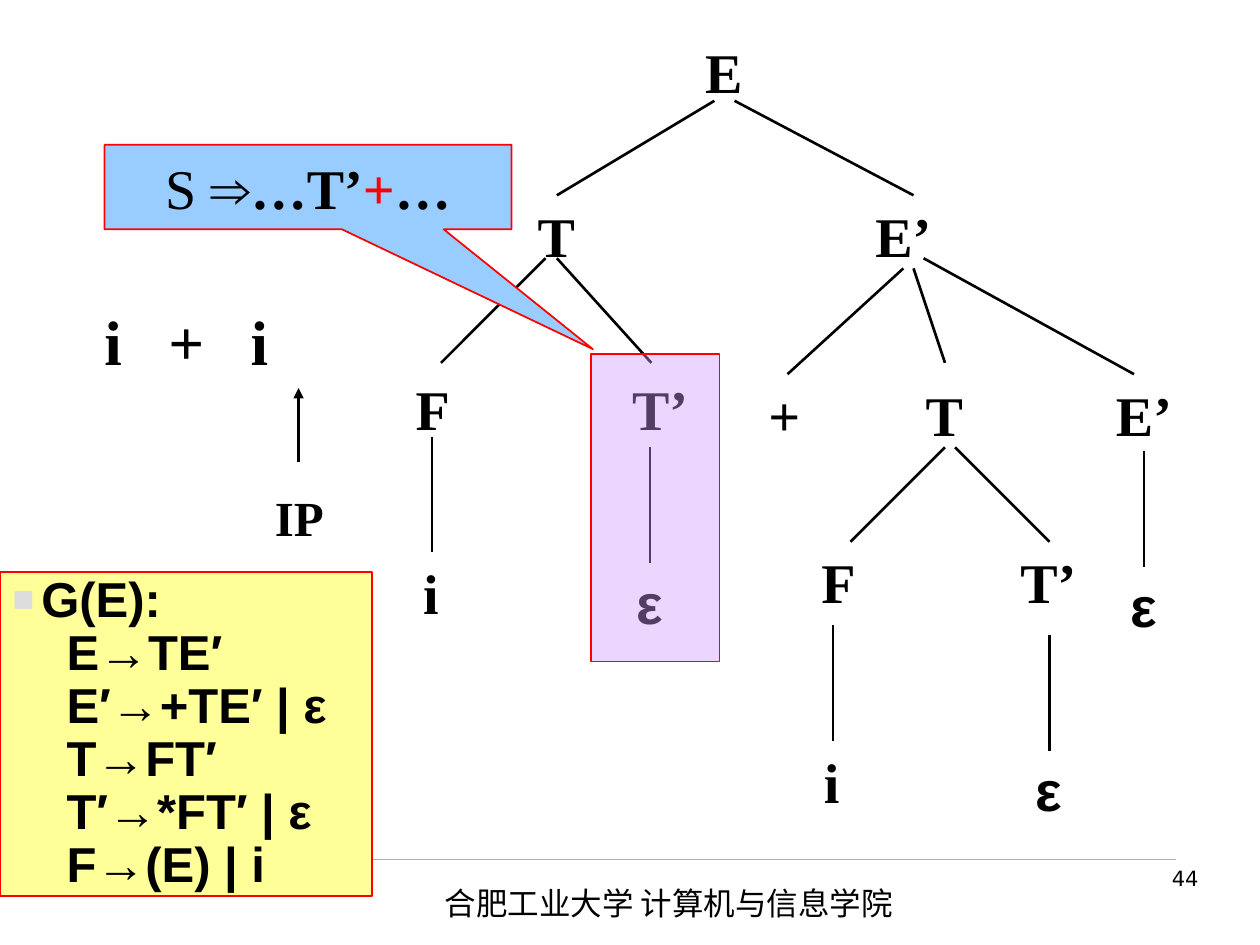
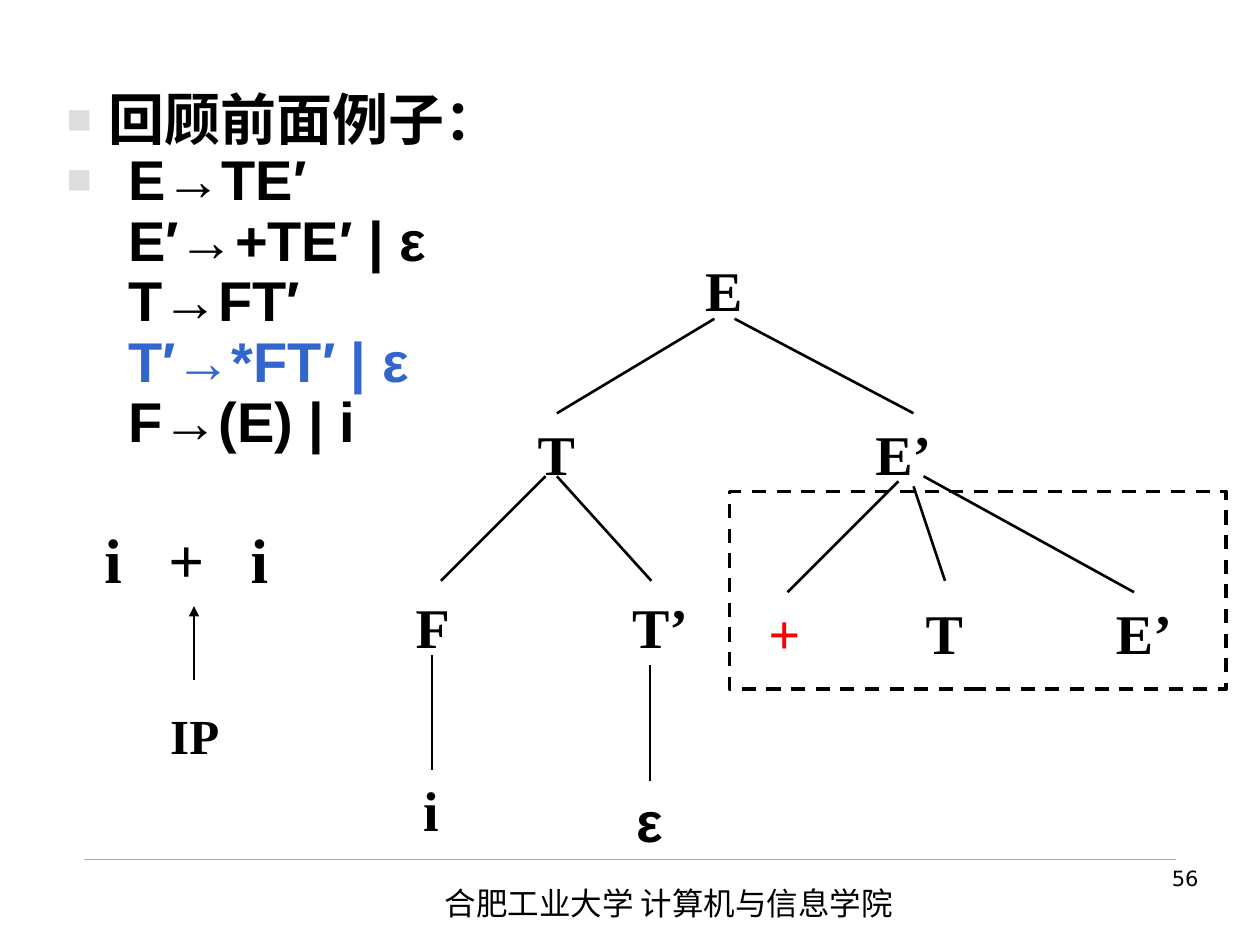
from pptx import Presentation
from pptx.dml.color import RGBColor
from pptx.enum import dml, shapes, text
from pptx.oxml import ns, xmlchemy
from pptx.util import Inches, Pt


class Theme:
    black, red, blue = "000000", "FF0000", "3366CC"
    bullet, rule = "DDDDDD", "B2B2B2"
    yellow, sky, violet = "FFFF99", "99CCFF", "CC99FF"
    serif, sans, number, cjk = "Times New Roman", "Arial", "DejaVu Sans", "Noto Sans CJK SC"
    small, footer, medium, node, large = 12, 18, 28, 32, 36
    edge = 1.5


NODE_WIDTHS = {"i": 0.32, "ε": 0.39, "+": 0.45, "F": 0.47, "T": 0.49, "E": 0.49, "T’": 0.64, "E’": 0.64}
NODE_HEIGHT = 0.64
FOOTER = "合肥工业大学 计算机与信息学院"
RULES = ["E→TE′", "E′→+TE′ | ε", "T→FT′", "T′→*FT′ | ε", "F→(E) | i"]
LOWER = 1.73  # how much lower the tree sits on the second slide

# Parse tree: nodes are (label, left, top), edges are (x1, y1, x2, y2)
TREE_NODES = [("E", 5.5, 0.25), ("T", 4.17, 1.55), ("E’", 6.85, 1.55), ("F", 3.2, 2.92),
              ("T’", 4.92, 2.92), ("i", 3.26, 4.38), ("ε", 4.96, 4.46),
              ("+", 6, 2.97), ("T", 7.25, 2.97), ("E’", 8.76, 2.97)]
TREE_EDGES = [(5.67, 0.8, 4.42, 1.55), (5.83, 0.8, 7.25, 1.55), (4.33, 2.05, 3.5, 2.88),
              (4.42, 2.05, 5.17, 2.88), (3.43, 3.47, 3.43, 4.38), (5.16, 3.55, 5.16, 4.47),
              (7.25, 2.13, 7.5, 2.88), (7.33, 2.05, 9, 2.97)]
FULL_NODES = [("F", 6.42, 4.3), ("T’", 8, 4.3), ("i", 6.44, 5.88), ("ε", 8.13, 5.95), ("ε", 8.88, 4.49)]
FULL_EDGES = [(7.17, 2.13, 6.25, 2.97), (7.5, 3.55, 6.75, 4.3), (7.58, 3.55, 8.33, 4.3),
              (6.61, 4.96, 6.61, 5.88), (8.33, 5.04, 8.33, 5.96), (9.08, 3.58, 9.08, 4.5)]


def sub(parent, tag, **attrs):
    el = xmlchemy.OxmlElement(tag)
    for key, value in attrs.items():
        el.set(key, str(value))
    parent.append(el)
    return el


# Text
def add_run(p, words, size, font=Theme.serif, color=Theme.black, bold=True, ea=None):
    r = p.add_run()
    r.text = words
    for key, value in {"size": Pt(size), "name": font, "bold": bold}.items():
        setattr(r.font, key, value)
    r.font.color.rgb = RGBColor.from_string(color)
    if ea:
        sub(r.font._element, "a:ea", typeface=ea)


def add_text(slide, box, words, size, align="LEFT", side=0.1, grow=True, **font):
    tf = slide.shapes.add_textbox(*map(Inches, box)).text_frame
    tf.word_wrap = True
    tf.margin_left = tf.margin_right = Inches(side)
    if grow:
        tf.auto_size = text.MSO_AUTO_SIZE.SHAPE_TO_FIT_TEXT
    p = tf.paragraphs[0]
    p.alignment = getattr(text.PP_ALIGN, align)
    add_run(p, words, size, **font)
    return p


def add_label(slide, box, words, size, **font):
    """Centred label whose text may use the full width of its box."""
    add_text(slide, box, words, size, "CENTER", side=0, **font)


def add_list(tf, lines, size):
    """Each line is (words, margin, bulleted, color)."""
    for n, (words, margin, bulleted, color) in enumerate(lines):
        p = tf.paragraphs[0] if n == 0 else tf.add_paragraph()
        p.line_spacing = 0.9
        p.alignment = text.PP_ALIGN.LEFT
        pPr = p._p.get_or_add_pPr()
        pPr.set("marL", str(Inches(margin)))
        pPr.set("indent", str(-Inches(margin) if bulleted else 0))
        if bulleted:
            sub(sub(pPr, "a:buClr"), "a:srgbClr", val=Theme.bullet)
            sub(pPr, "a:buSzPct", val=75000)
            sub(pPr, "a:buFont", typeface=Theme.sans)
            sub(pPr, "a:buChar", char="■")
        else:
            sub(pPr, "a:buNone")
        add_run(p, words, size, Theme.sans, color, ea=Theme.cjk if "回" in words else None)


# Lines and shapes
def add_line(slide, ends, color=Theme.black, width=Theme.edge, arrow=False):
    c = slide.shapes.add_connector(shapes.MSO_CONNECTOR.STRAIGHT, *map(Inches, ends))
    c.line.color.rgb = RGBColor.from_string(color)
    c.line.width = Pt(width)
    if arrow:
        sub(c.line._get_or_add_ln(), "a:tailEnd", type="triangle")
    sub(c._element.spPr, "a:effectLst")


def add_box(slide, box, fill=None, line=Theme.red, width=1, kind="RECTANGLE", alpha=None):
    sp = slide.shapes.add_shape(getattr(shapes.MSO_SHAPE, kind), *map(Inches, box))
    sp.shadow.inherit = False
    if fill:
        sp.fill.solid()
        sp.fill.fore_color.rgb = RGBColor.from_string(fill)
        if alpha:
            color = sp._element.spPr.find(".//" + ns.qn("a:srgbClr"))
            sub(color, "a:alpha", val=alpha * 1000)
    else:
        sp.fill.background()
    sp.line.color.rgb = RGBColor.from_string(line)
    sp.line.width = Pt(width)
    sp.text_frame.word_wrap = True
    sp.text_frame.vertical_anchor = text.MSO_ANCHOR.MIDDLE
    return sp


# Parts shared by the slides
def add_base(prs, number):
    slide = prs.slides.add_slide(prs.slide_layouts[6])
    add_line(slide, (0.67, 6.82, 9.33, 6.82), Theme.rule, 0.25)
    add_text(slide, (3.43, 6.97, 4.8, 0.4), FOOTER, Theme.footer,
             font=Theme.cjk, bold=False, ea=Theme.cjk)
    add_text(slide, (7.44, 6.82, 2.17, 0.52), str(number), Theme.small, "RIGHT",
             grow=False, font=Theme.number, bold=False)
    return slide


def add_input(slide, pointer, dy=0):
    """Input string with the IP arrow below it at x = pointer."""
    p = add_text(slide, (0.5, 2.35 + dy, 2.09, 0.7), "\ti\t+\ti", Theme.large)
    tabs = sub(p._p.get_or_add_pPr(), "a:tabLst")
    for n in range(3):
        sub(tabs, "a:tab", pos=Inches(0.3 + 0.58 * n), algn="ctr")
    add_line(slide, (pointer, 3.67 + dy, pointer, 3.08 + dy), arrow=True)
    add_label(slide, (pointer - 0.29, 3.82 + dy, 0.59, 0.57), "IP", Theme.medium)


def add_tree(slide, nodes, edges, dy=0, plus=Theme.black):
    for x1, y1, x2, y2 in edges:
        add_line(slide, (x1, y1 + dy, x2, y2 + dy))
    for label, left, top in nodes:
        add_label(slide, (left, top + dy, NODE_WIDTHS[label], NODE_HEIGHT), label, Theme.node,
                  font=Theme.sans if label == "ε" else Theme.serif,
                  color=plus if label == "+" else Theme.black)


# Slides
def add_full_tree_slide(prs):
    slide = add_base(prs, 44)
    add_input(slide, 2.37)
    add_tree(slide, TREE_NODES + FULL_NODES, TREE_EDGES + FULL_EDGES)

    grammar = add_box(slide, (0, 4.54, 2.95, 2.57), Theme.yellow)
    lines = [("G(E):", 0.23, True, Theme.black)]
    lines += [(rule, 0.43, False, Theme.black) for rule in RULES]
    add_list(grammar.text_frame, lines, Theme.medium)

    add_box(slide, (4.69, 2.81, 1.02, 2.44), Theme.violet, alpha=40)

    callout = add_box(slide, (0.83, 1.15, 3.23, 0.67), Theme.sky, kind="RECTANGULAR_CALLOUT")
    callout.adjustments[0], callout.adjustments[1] = 0.7, 1.92
    p = callout.text_frame.paragraphs[0]
    p.alignment = text.PP_ALIGN.CENTER
    add_run(p, "S ", Theme.node, bold=False)
    add_run(p, "⇒", Theme.node, Theme.sans)
    for words, color in [("…T’", Theme.black), ("+", Theme.red), ("…", Theme.black)]:
        add_run(p, words, Theme.node, color=color)


def add_review_slide(prs):
    slide = add_base(prs, 56)
    add_input(slide, 1.54, LOWER)
    add_tree(slide, TREE_NODES, TREE_EDGES + [(7.13, 2.09, 6.25, 2.97)], LOWER, plus=Theme.red)

    expansion = add_box(slide, (5.79, 3.9, 3.94, 1.57), line=Theme.black, width=2)
    expansion.line.dash_style = dml.MSO_LINE.DASH

    tf = slide.shapes.add_textbox(*map(Inches, (0.43, 0.68, 4.43, 3.46))).text_frame
    tf.word_wrap = True
    lines = [("回顾前面例子：", 0.33, True, Theme.black)]
    lines += [(rule, 0.49, n == 0, Theme.blue if n == 3 else Theme.black)
              for n, rule in enumerate(RULES)]
    add_list(tf, lines, Theme.node)


def main():
    prs = Presentation()
    prs.slide_width, prs.slide_height = Inches(10), Inches(7.5)
    add_full_tree_slide(prs)
    add_review_slide(prs)
    prs.save("out.pptx")


if __name__ == "__main__":
    main()
